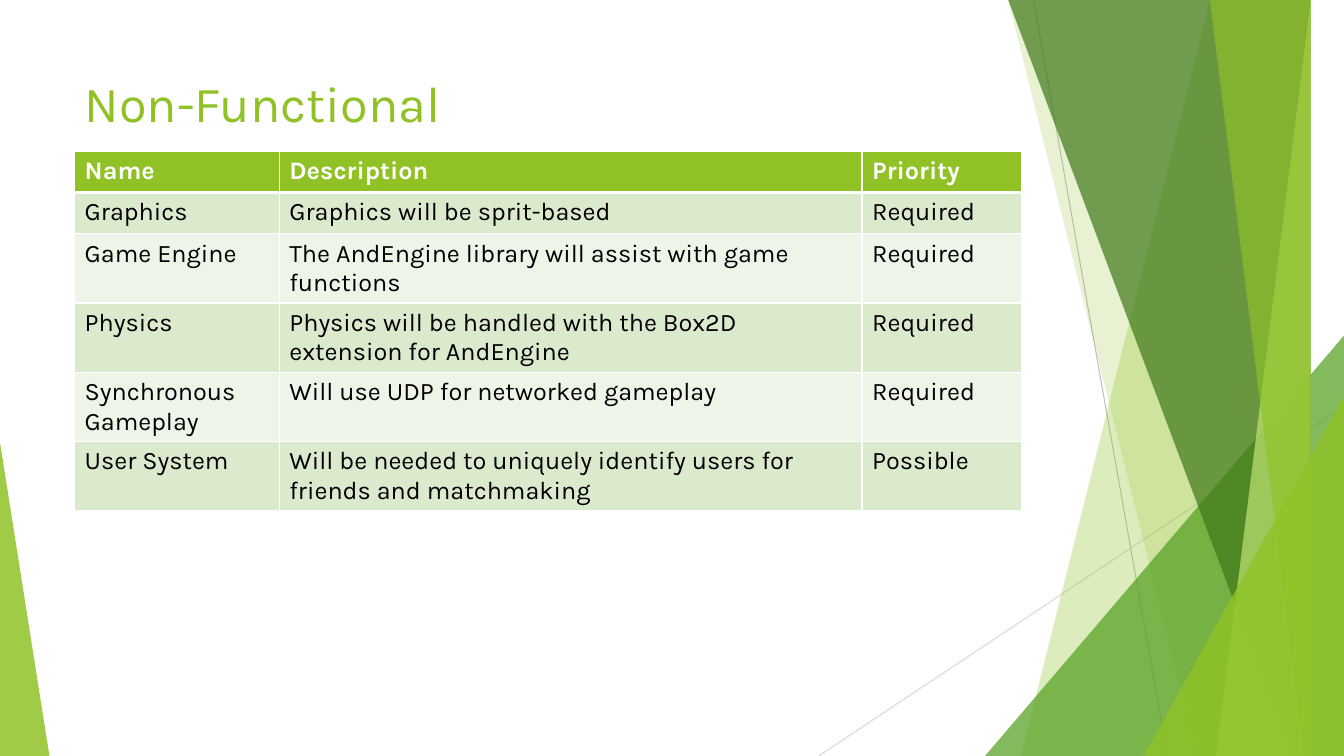
from lxml.etree import SubElement
from pptx import Presentation
from pptx.dml.color import RGBColor
from pptx.enum.shapes import MSO_CONNECTOR, MSO_SHAPE
from pptx.enum.text import MSO_ANCHOR, PP_ALIGN
from pptx.oxml import parse_xml
from pptx.oxml.ns import nsdecls, qn
from pptx.util import Inches, Pt

WHITE = RGBColor(0xFF, 0xFF, 0xFF)
BLACK = RGBColor(0, 0, 0)
LIME = RGBColor(0x90, 0xC2, 0x26)
PALE_LIME = RGBColor(0xC0, 0xE4, 0x74)
GREEN = RGBColor(0x54, 0xA0, 0x21)
DARK_GREEN = RGBColor(0x3F, 0x78, 0x19)
BAND_DARK = RGBColor(0xDB, 0xE9, 0xCD)
BAND_LIGHT = RGBColor(0xEE, 0xF4, 0xE8)
GREY = RGBColor(0xBF, 0xBF, 0xBF)
LIGHT_GREY = RGBColor(0xD9, 0xD9, 0xD9)
FONT = "Karla"
WIDTH, HEIGHT = 13.33, 7.5
TOP = -0.01

TITLE = "Non-Functional"
ROWS = [
    ("Name", "Description", "Priority"),
    ("Graphics", "Graphics will be sprit-based", "Required"),
    ("Game Engine", "The AndEngine library will assist with game functions", "Required"),
    ("Physics", "Physics will be handled with the Box2D extension for AndEngine", "Required"),
    ("Synchronous Gameplay", "Will use UDP for networked gameplay", "Required"),
    ("User System", "Will be needed to uniquely identify users for friends and matchmaking", "Possible"),
]
COL_WIDTHS = [2.03, 5.78, 1.58]
ROW_HEIGHT = 0.41

LINES = [
    ((10.25, 0), (11.58, HEIGHT), GREY),
    ((WIDTH, 4.03), (8.12, HEIGHT), LIGHT_GREY),
]
FACETS = [
    ("panel", (12.28, 10.04), LIME, 30),
    ("panel", (10.5, 11.83), LIME, 20),
    ("triangle", (9.77, 3.33, 3.56, 1), GREEN, 72),
    ("panel", (10.21, 12.91), DARK_GREEN, 70),
    ("panel", (13.03, 11.92), PALE_LIME, 70),
    ("panel", (11.96, 13.18), LIME, 65),
    ("triangle", (11.34, 3.93, 1.99, 1), LIME, 80),
    ("triangle", (0, 4.39, 0.49, 0), LIME, 85),
]


def add_line(shapes, start, end, color):
    cn = shapes.add_connector(MSO_CONNECTOR.STRAIGHT, *map(Inches, start + end))
    cn.line.color.rgb = color
    cn.line.width = Pt(0.75)
    SubElement(cn._element.spPr, qn("a:effectLst"))


def add_panel(shapes, top_x, bottom_x):
    fb = shapes.build_freeform(top_x, TOP, scale=Inches(1))
    fb.add_line_segments([(WIDTH, TOP), (WIDTH, HEIGHT), (bottom_x, HEIGHT)])
    return fb.convert_to_shape()


def add_triangle(shapes, left, top, width, apex):
    sp = shapes.add_shape(MSO_SHAPE.ISOSCELES_TRIANGLE, Inches(left), Inches(top),
                          Inches(width), Inches(HEIGHT - top))
    sp.adjustments[0] = apex
    return sp


def paint(sp, color, opacity):
    sp.shadow.inherit = False
    sp.line.fill.background()
    sp.fill.solid()
    sp.fill.fore_color.rgb = color
    clr = sp._element.spPr.find(qn("a:solidFill"))[0]
    SubElement(clr, qn("a:alpha"), val=str(opacity * 1000))


def format_text(tf, size, color, bold=False):
    p = tf.paragraphs[0]
    p.alignment = PP_ALIGN.LEFT
    font = p.runs[0].font
    font.name, font.size, font.bold = FONT, Pt(size), bold
    font.color.rgb = color


def add_borders(cell, top, bottom):
    tcPr = cell._tc.get_or_add_tcPr()
    for i, (side, width) in enumerate([("L", 1), ("R", 1), ("T", top), ("B", bottom)]):
        tcPr.insert(i, parse_xml(
            f'<a:ln{side} {nsdecls("a")} w="{Pt(width)}"><a:solidFill>'
            f'<a:srgbClr val="{WHITE}"/></a:solidFill></a:ln{side}>'))


def add_requirements(shapes):
    frame = shapes.add_table(len(ROWS), len(COL_WIDTHS), Inches(0.74), Inches(1.5),
                             Inches(sum(COL_WIDTHS)), Inches(ROW_HEIGHT * len(ROWS)))
    table = frame.table
    for col, width in zip(table.columns, COL_WIDTHS):
        col.width = Inches(width)
    for i, row in enumerate(ROWS):
        header = i == 0
        band = LIME if header else BAND_DARK if i % 2 else BAND_LIGHT
        for j, text in enumerate(row):
            cell = table.cell(i, j)
            cell.text_frame.text = text
            format_text(cell.text_frame, 18, WHITE if header else BLACK, header)
            cell.fill.solid()
            cell.fill.fore_color.rgb = band
            add_borders(cell, 3 if i == 1 else 1, 3 if header else 1)


def main():
    prs = Presentation()
    prs.slide_width, prs.slide_height = Inches(WIDTH), Inches(HEIGHT)
    s = prs.slides.add_slide(prs.slide_layouts[5])
    for line in LINES:
        add_line(s.shapes, *line)
    builders = {"panel": add_panel, "triangle": add_triangle}
    for kind, geometry, color, opacity in FACETS:
        paint(builders[kind](s.shapes, *geometry), color, opacity)

    title = s.shapes.title
    title.left, title.top = Inches(0.74), Inches(0.67)
    title.width, title.height = Inches(9.4), Inches(1.44)
    title.text_frame.text = TITLE
    title.text_frame.vertical_anchor = MSO_ANCHOR.TOP
    format_text(title.text_frame, 36, LIME)

    add_requirements(s.shapes)
    prs.save("out.pptx")


if __name__ == "__main__":
    main()
